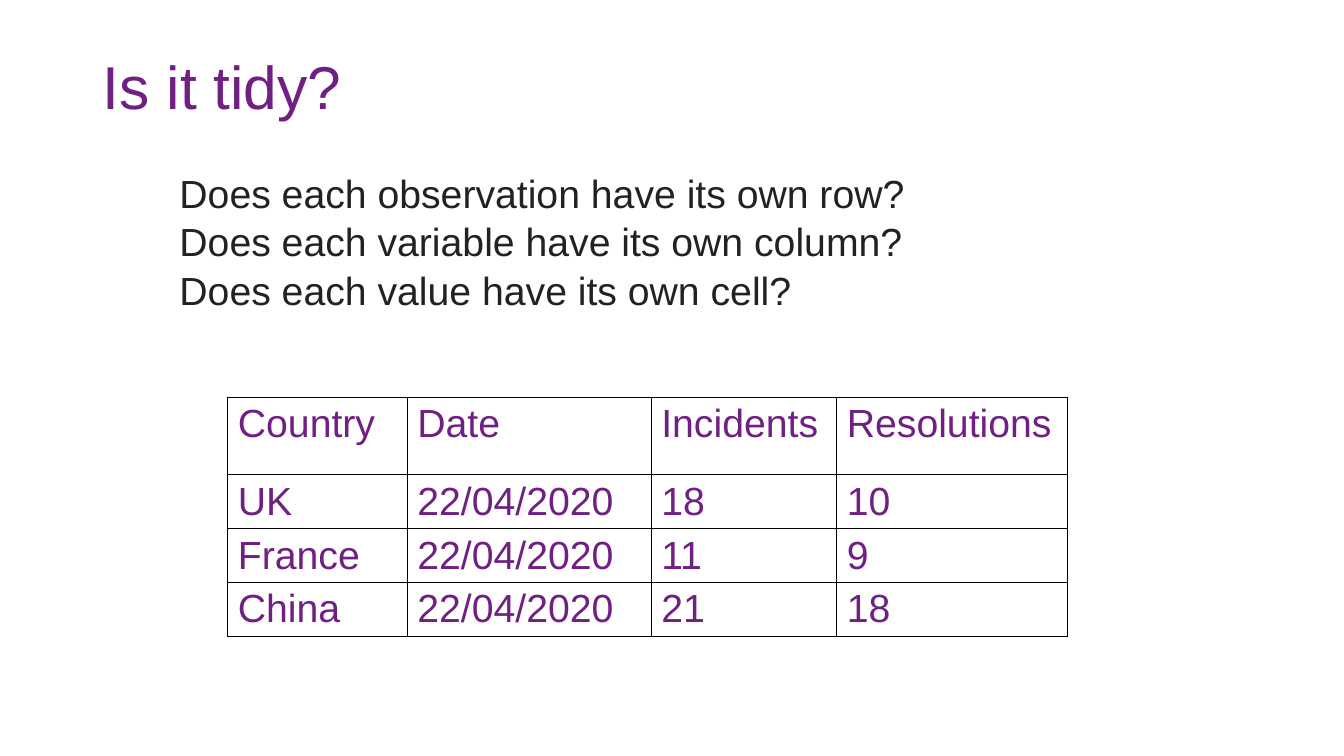
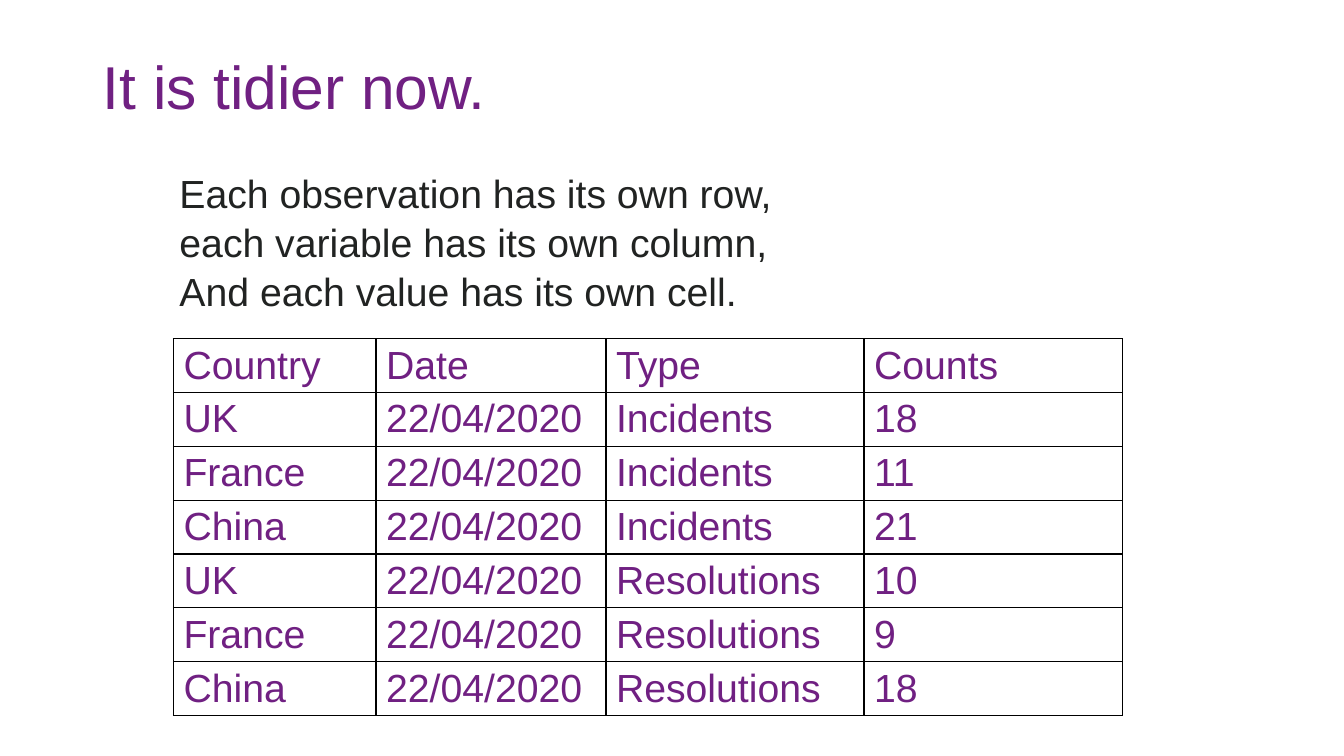
from dataclasses import dataclass

from lxml.etree import SubElement
from pptx import Presentation
from pptx.dml.color import RGBColor
from pptx.enum.text import MSO_ANCHOR as Anchor, MSO_AUTO_SIZE as AutoSize, PP_ALIGN as Align
from pptx.oxml.ns import qn
from pptx.util import Inches, Pt


@dataclass(frozen=True)
class Theme:
    font: str = "Arial"
    accent: RGBColor = RGBColor(0x70, 0x20, 0x82)
    ink: RGBColor = RGBColor(0x21, 0x23, 0x22)
    border: str = "000000"
    title_size: float = 43.2
    text_size: float = 28
    border_width: float = 1


THEME = Theme()


def write(frame, lines, color=THEME.accent, size=THEME.text_size, line_spacing=None,
          space_before=0, indent=None):
    """Fill a text frame with one paragraph per line; an indent also removes the bullet."""
    for number, line in enumerate(lines):
        paragraph = frame.add_paragraph() if number else frame.paragraphs[0]
        paragraph.alignment = Align.LEFT
        paragraph.space_before = Pt(space_before if number else 0)
        if line_spacing:
            paragraph.line_spacing = line_spacing
        if indent is not None:
            paragraph.level = 1
            properties = paragraph._p.get_or_add_pPr()
            properties.set("marL", str(Inches(indent)))
            properties.set("indent", "0")
            SubElement(properties, qn("a:buNone"))
        run = paragraph.add_run()
        run.text = line
        run.font.name = THEME.font
        run.font.size = Pt(size)
        run.font.color.rgb = color


def outline(cell):
    """Draw all four borders of a table cell."""
    properties = cell._tc.get_or_add_tcPr()
    for side in ("lnL", "lnR", "lnT", "lnB"):
        line = SubElement(properties, qn(f"a:{side}"), w=str(Pt(THEME.border_width)))
        fill = SubElement(line, qn("a:solidFill"))
        SubElement(fill, qn("a:srgbClr"), val=THEME.border)


DATE = "22/04/2020"
incidents = {"UK": "18", "France": "11", "China": "21"}
resolutions = {"UK": "10", "France": "9", "China": "18"}

wide_rows = [["Country", "Date", "Incidents", "Resolutions"]]
wide_rows += [[country, DATE, incidents[country], resolutions[country]] for country in incidents]

long_rows = [["Country", "Date", "Type", "Counts"]]
for kind, counts in (("Incidents", incidents), ("Resolutions", resolutions)):
    long_rows += [[country, DATE, kind, count] for country, count in counts.items()]

ROW_HEIGHT = 0.53
pages = [
    dict(title="Is it tidy?",
         points=["Does each observation have its own row?",
                 "Does each variable have its own column?",
                 "Does each value have its own cell?"],
         point_gap=4.3, rows=wide_rows, left=2.26, top=3.94,
         columns=[1.78, 2.42, 1.84, 2.29], header_height=0.77),
    dict(title="It is tidier now.",
         points=["Each observation has its own row,",
                 "each variable has its own column,",
                 "And each value has its own cell."],
         point_gap=5, rows=long_rows, left=1.72, top=3.36,
         columns=[2.01, 2.28, 2.56, 2.56], header_height=ROW_HEIGHT),
]

deck = Presentation()
deck.slide_width, deck.slide_height = Inches(13.33), Inches(7.5)

layout = deck.slide_layouts[1]
for placeholder, top, height in ((layout.placeholders[0], 0.59, 0.6),
                                 (layout.placeholders[1], 1.68, 4.66)):
    placeholder.left, placeholder.width = Inches(0.92), Inches(10.91)
    placeholder.top, placeholder.height = Inches(top), Inches(height)

for page in pages:
    slide = deck.slides.add_slide(layout)
    heading, questions = slide.shapes.title.text_frame, slide.placeholders[1].text_frame
    for frame, anchor in ((heading, Anchor.MIDDLE), (questions, Anchor.TOP)):
        frame.auto_size = AutoSize.NONE
        frame.vertical_anchor = anchor
    write(heading, [page["title"]], size=THEME.title_size, line_spacing=0.9)
    write(questions, page["points"], color=THEME.ink, line_spacing=0.9,
          space_before=page["point_gap"], indent=0.76)

    rows, columns = page["rows"], page["columns"]
    heights = [page["header_height"]] + [ROW_HEIGHT] * (len(rows) - 1)
    table = slide.shapes.add_table(
        len(rows), len(columns), Inches(page["left"]), Inches(page["top"]),
        Inches(sum(columns)), Inches(sum(heights))).table
    table.first_row = table.horz_banding = False
    for column, width in zip(table.columns, columns):
        column.width = Inches(width)
    for row, height, values in zip(table.rows, heights, rows):
        row.height = Inches(height)
        for cell, value in zip(row.cells, values):
            outline(cell)
            cell.fill.background()
            write(cell.text_frame, [value])

deck.save("out.pptx")
